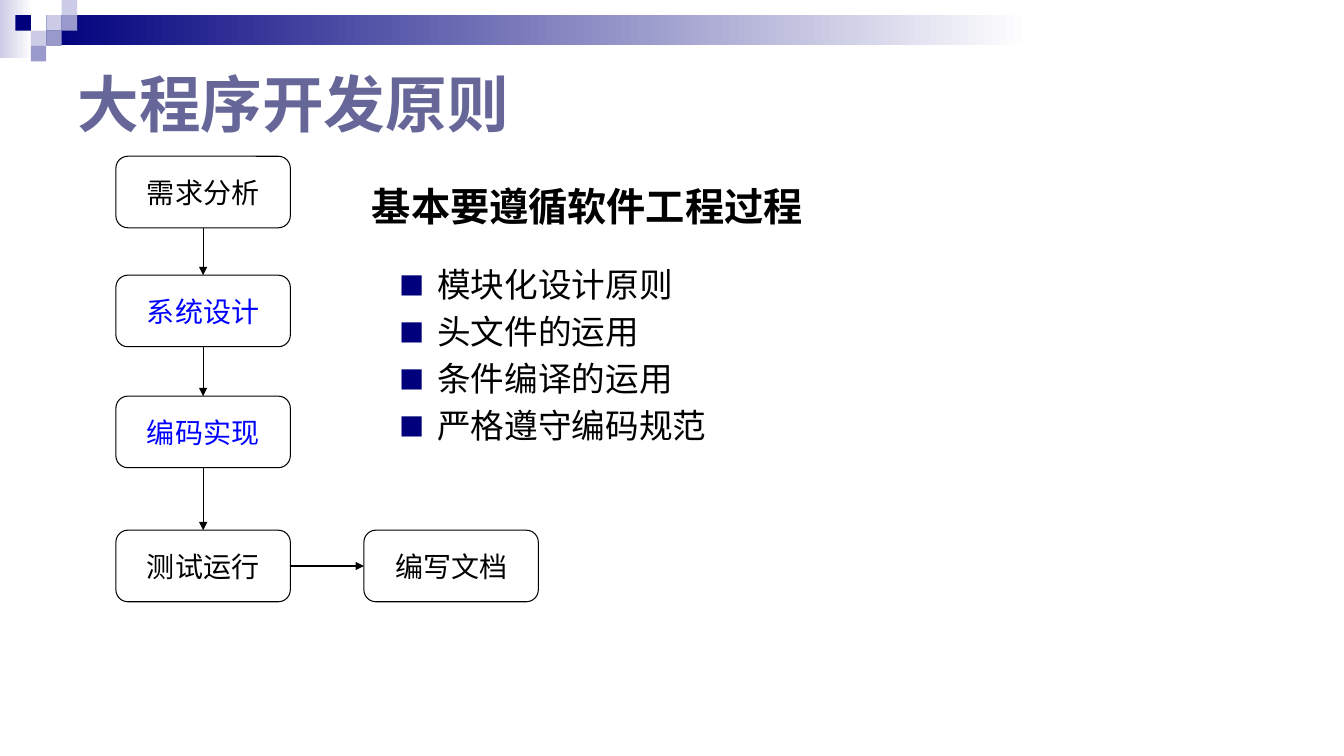
from lxml.etree import SubElement
from pptx import Presentation
from pptx.dml.color import RGBColor as RGB
from pptx.enum.shapes import MSO_CONNECTOR as CONN, MSO_SHAPE as SHAPE
from pptx.enum.text import MSO_ANCHOR as ANCHOR, PP_ALIGN as ALIGN
from pptx.oxml.ns import qn
from pptx.util import Inches, Pt

THEME = {
    "navy": "00007D", "lilac": "CCCCE6", "mid": "9999CC", "white": "FFFFFF",
    "title": "666699", "text": "000000", "accent": "0000FF",
    "cjk": "Noto Sans CJK SC", "latin": "Arial",
    "title_pt": 44, "heading_pt": 28, "bullet_pt": 24, "box_pt": 20, "line_pt": 0.75,
}
TITLE = "大程序开发原则"
HEADING = "基本要遵循软件工程过程"
BULLETS = ["模块化设计原则", "头文件的运用", "条件编译的运用", "严格遵守编码规范"]

BOX_W, BOX_H = 1.73, 0.71
STEPS = [
    ("需求分析", 1.15, 1.55, "text"),
    ("系统设计", 1.15, 2.73, "accent"),
    ("编码实现", 1.15, 3.93, "accent"),
    ("测试运行", 1.15, 5.26, "text"),
    ("编写文档", 3.61, 5.26, "text"),
]
ARROWS = [(0, 1, 2, 0), (1, 2, 2, 0), (2, 3, 2, 0), (3, 4, 3, 1)]

BANDS = [(0, 0, 0.32, 0.58, "lilac"), (0.46, 0.15, 9.75, 0.3, "navy")]
TILE = 0.153
TILES = [(3, 1, "lilac"), (4, 0, "lilac"), (4, 1, "mid"), (2, 2, "lilac"),
         (1, 1, "navy"), (3, 2, "mid"), (2, 3, "mid")]


def color(name):
    return RGB.from_string(THEME[name])


def add_run(p, text, size, name, font="cjk", bold=False):
    r = p.add_run()
    r.text = text
    f = r.font
    f.size, f.bold, f.name = Pt(THEME[size]), bold, THEME[font]
    f.color.rgb = color(name)
    SubElement(r._r.get_or_add_rPr(), qn("a:ea"), typeface=THEME["cjk"])


def add_block(slide, kind, x, y, w, h):
    sp = slide.shapes.add_shape(kind, Inches(x), Inches(y), Inches(w), Inches(h))
    sp.shadow.inherit = False
    return sp


def add_text(slide, x, y, w, h, wrap=True):
    tf = slide.shapes.add_textbox(Inches(x), Inches(y), Inches(w), Inches(h)).text_frame
    tf.word_wrap = wrap
    return tf


def add_decor(slide):
    for x, y, w, h, name in BANDS:
        sp = add_block(slide, SHAPE.RECTANGLE, x, y, w, h)
        sp.line.fill.background()
        sp.fill.gradient()
        sp.fill.gradient_angle = 0
        for stop, stop_name in zip(sp.fill.gradient_stops, (name, "white")):
            stop.color.rgb = color(stop_name)
    for col, row, name in TILES:
        sp = add_block(slide, SHAPE.RECTANGLE, col * TILE, row * TILE - 0.003 * (row > 0), TILE, TILE)
        sp.line.fill.background()
        sp.fill.solid()
        sp.fill.fore_color.rgb = color(name)


def add_step(slide, text, x, y, name):
    sp = add_block(slide, SHAPE.ROUNDED_RECTANGLE, x, y, BOX_W, BOX_H)
    sp.fill.background()
    sp.line.color.rgb = color("text")
    sp.line.width = Pt(THEME["line_pt"])
    tf = sp.text_frame
    tf.vertical_anchor = ANCHOR.MIDDLE
    p = tf.paragraphs[0]
    p.alignment = ALIGN.CENTER
    add_run(p, text, "box_pt", name)
    return sp


def add_arrow(slide, start, start_site, end, end_site):
    c = slide.shapes.add_connector(CONN.STRAIGHT, 0, 0, 0, 0)
    c.begin_connect(start, start_site)
    c.end_connect(end, end_site)
    c.line.color.rgb = color("text")
    c.line.width = Pt(THEME["line_pt"])
    SubElement(c.line._get_or_add_ln(), qn("a:tailEnd"), type="triangle")
    SubElement(c._element.spPr, qn("a:effectLst"))


def add_bullet(p, first):
    pPr = p._p.get_or_add_pPr()
    pPr.set("marL", str(Inches(0.38)))
    pPr.set("indent", str(Inches(-0.38)))
    if not first:
        SubElement(SubElement(pPr, qn("a:spcBef")), qn("a:spcPct"), val="20000")
    SubElement(SubElement(pPr, qn("a:buClr")), qn("a:srgbClr"), val=THEME["navy"])
    SubElement(pPr, qn("a:buSzPct"), val="75000")
    SubElement(pPr, qn("a:buFont"), typeface=THEME["cjk"])
    SubElement(pPr, qn("a:buChar"), char="■")


def main():
    prs = Presentation()
    prs.slide_width, prs.slide_height = Inches(13.33), Inches(7.5)
    slide = prs.slides.add_slide(prs.slide_layouts[6])
    add_decor(slide)

    tf = add_text(slide, 0.67, 0.5, 12, 1.05)
    tf.vertical_anchor = ANCHOR.MIDDLE
    add_run(tf.paragraphs[0], TITLE, "title_pt", "title", bold=True)

    steps = [add_step(slide, *step) for step in STEPS]
    for start, end, start_site, end_site in ARROWS:
        add_arrow(slide, steps[start], start_site, steps[end], end_site)

    tf = add_text(slide, 3.59, 1.76, 4.54, 0.57, wrap=False)
    add_run(tf.paragraphs[0], HEADING, "heading_pt", "text", font="latin", bold=True)

    tf = add_text(slide, 3.86, 2.57, 4.54, 2.09)
    for i, text in enumerate(BULLETS):
        p = tf.add_paragraph() if i else tf.paragraphs[0]
        add_bullet(p, i == 0)
        add_run(p, text, "bullet_pt", "text")

    prs.save("out.pptx")


if __name__ == "__main__":
    main()
